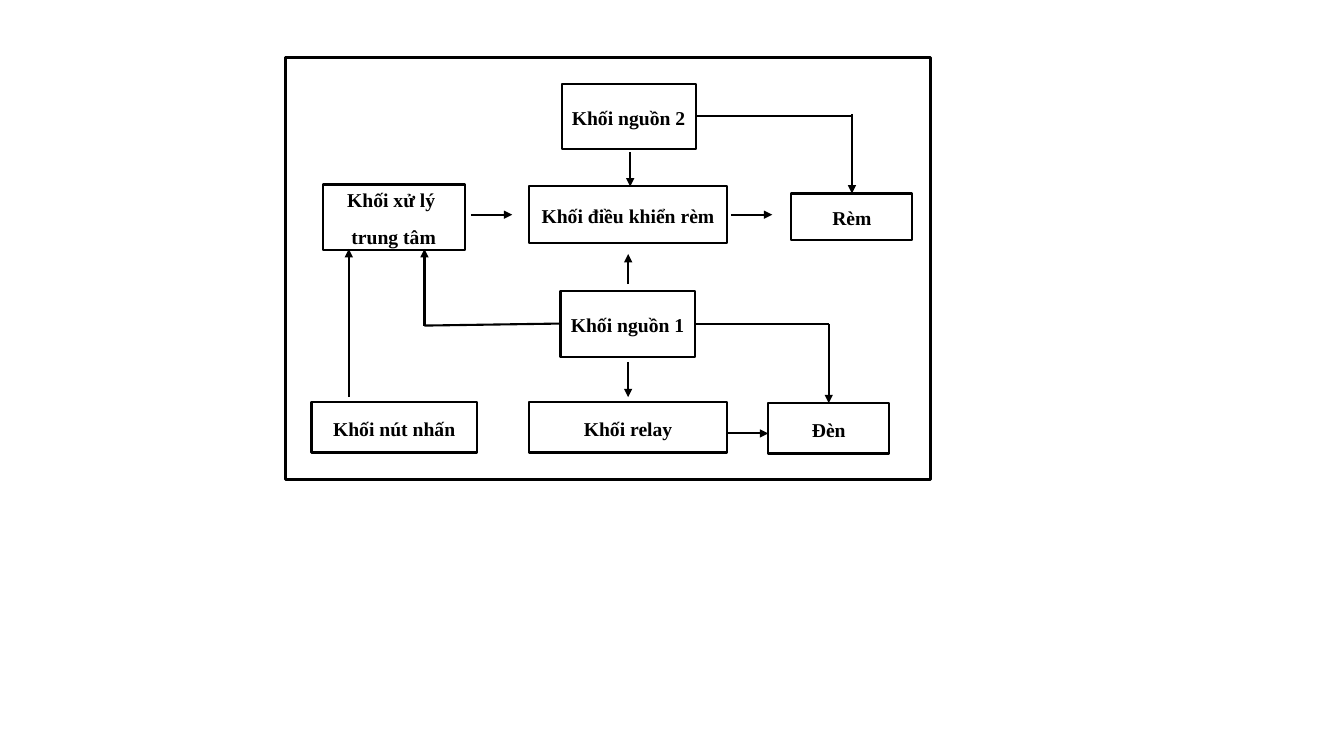
from lxml import etree
from pptx import Presentation
from pptx.dml.color import RGBColor
from pptx.enum.shapes import MSO_CONNECTOR, MSO_SHAPE
from pptx.enum.text import MSO_ANCHOR, PP_ALIGN
from pptx.oxml.ns import qn
from pptx.util import Inches, Pt

RECT = MSO_SHAPE.RECTANGLE
STRAIGHT = MSO_CONNECTOR.STRAIGHT
MIDDLE = MSO_ANCHOR.MIDDLE
CENTER = PP_ALIGN.CENTER
COLORS = {"ink": "000000", "background": "FFFFFF"}


class Diagram:
    font = "Times New Roman"
    size = 14
    ink = RGBColor.from_string(COLORS["ink"])

    def __init__(self, slide):
        self.s = slide
        fill = slide.background.fill
        fill.solid()
        fill.fore_color.rgb = RGBColor.from_string(COLORS["background"])

    def stroke(self, line, width):
        line.color.rgb = self.ink
        line.width = Pt(width)

    def box(self, x, y, w, h, lines=(), width=1.5):
        sp = self.s.shapes.add_shape(RECT, Inches(x), Inches(y), Inches(w), Inches(h))
        sp.shadow.inherit = False
        sp.fill.background()
        self.stroke(sp.line, width)
        tf = sp.text_frame
        tf.word_wrap = True
        tf.vertical_anchor = MIDDLE
        tf.margin_left = tf.margin_right = Inches(0.05)
        for i, text in enumerate(lines):
            p = tf.paragraphs[0] if i == 0 else tf.add_paragraph()
            p.alignment = CENTER
            p.line_spacing = 1.07
            p.space_after = Pt(8)
            r = p.add_run()
            r.text = text
            r.font.name = self.font
            r.font.size = Pt(self.size)
            r.font.bold = True
            r.font.color.rgb = self.ink

    def line(self, x1, y1, x2, y2, arrow=True):
        c = self.s.shapes.add_connector(
            STRAIGHT, Inches(x1), Inches(y1), Inches(x2), Inches(y2))
        self.stroke(c.line, 1.5)
        if arrow:
            etree.SubElement(c.line._get_or_add_ln(), qn("a:tailEnd"), type="triangle")
        etree.SubElement(c._element.spPr, qn("a:effectLst"))


prs = Presentation()
prs.slide_width = Inches(13.33)
prs.slide_height = Inches(7.5)
d = Diagram(prs.slides.add_slide(prs.slide_layouts[6]))

d.box(2.83, 0.57, 6.4, 4.19, width=2.25)

BLOCKS = [
    (3.09, 3.99, 1.64, 0.5, ["Khối nút nhấn"]),
    (5.56, 2.89, 1.33, 0.65, ["Khối nguồn 1"]),
    (3.2, 1.83, 1.41, 0.65, ["Khối xử lý ", "trung tâm"]),
    (5.25, 3.99, 1.96, 0.5, ["Khối relay"]),
    (5.25, 1.85, 1.96, 0.56, ["Khối điều khiển rèm"]),
    (7.85, 1.92, 1.2, 0.46, ["Rèm"]),
    (7.62, 4, 1.2, 0.5, ["Đèn"]),
    (5.57, 0.83, 1.33, 0.65, ["Khối nguồn 2"]),
]
for block in BLOCKS:
    d.box(*block)

ARROWS = [
    (4.67, 2.13, 5.08, 2.13),
    (7.25, 2.13, 7.66, 2.13),
    (7.21, 4.3, 7.62, 4.3),
    (3.46, 3.94, 3.46, 2.47),
    (4.21, 3.23, 4.21, 2.47),
    (6.23, 2.82, 6.23, 2.52),
    (6.23, 3.59, 6.23, 3.94),
    (6.25, 1.51, 6.25, 1.85),
    (8.22, 3.21, 8.22, 4),
    (8.45, 1.13, 8.45, 1.92),
]
for arrow in ARROWS:
    d.line(*arrow)

ELBOW_ARMS = [
    (6.89, 3.21, 8.22, 3.21),
    (4.21, 3.23, 5.56, 3.21),
    (6.91, 1.15, 8.45, 1.15),
]
for arm in ELBOW_ARMS:
    d.line(*arm, arrow=False)

prs.save("out.pptx")
